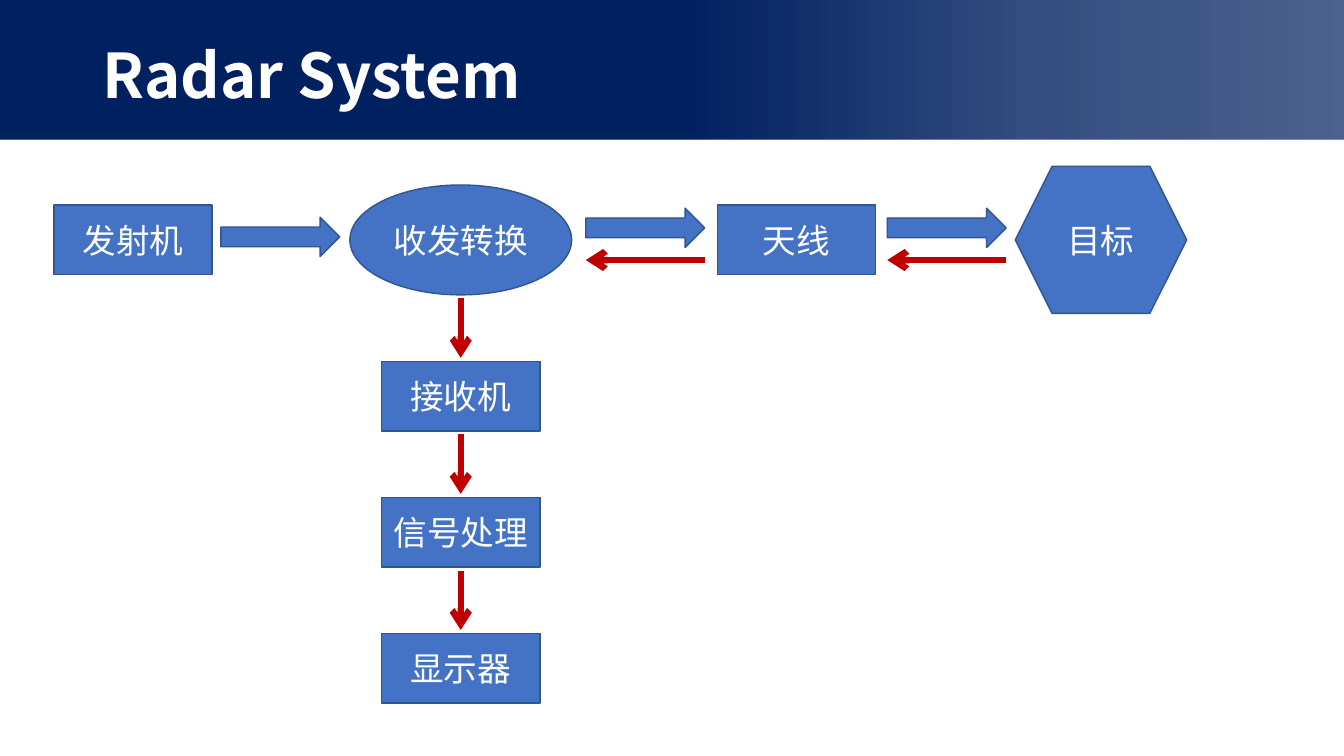
"""Build the radar system block diagram slide."""
from pptx import Presentation
from pptx.dml.color import RGBColor as Rgb
from pptx.enum.shapes import MSO_CONNECTOR as Link, MSO_SHAPE as Form
from pptx.enum.text import MSO_ANCHOR as Anchor, PP_ALIGN as Align
from pptx.oxml import parse_xml as to_xml
from pptx.oxml.ns import nsdecls, qn
from pptx.util import Inches, Pt

theme = {
    "font": "Noto Sans CJK SC", "head": 44, "body": 24, "edge": 1, "beam": 4.5,
    "navy": "002060", "blue": "4472C4", "rim": "325491", "red": "C00000",
    "white": "FFFFFF",
}

deck = Presentation()
deck.slide_width, deck.slide_height = Inches(13.33), Inches(7.5)
slide = deck.slides.add_slide(deck.slide_layouts[6])
col, row = deck.slide_width / 13.33, deck.slide_height / 7.5


def write(para, text, size, bold=False):
    """Add one run in the theme font."""
    run = para.add_run()
    run.text = text
    font = run.font
    font.name, font.size, font.bold = theme["font"], Pt(size), bold
    font.color.rgb = Rgb.from_string(theme["white"])
    east = run._r.get_or_add_rPr().makeelement(qn("a:ea"), {"typeface": theme["font"]})
    font._element.find(qn("a:latin")).addnext(east)


def block(form, mid_x, mid_y, wide, high, text=""):
    """Add a blue shape centred on a grid point."""
    shape = slide.shapes.add_shape(
        form, int((mid_x - wide / 2) * col), int((mid_y - high / 2) * row),
        int(wide * col), int(high * row))
    shape.shadow.inherit = False
    shape.fill.solid()
    shape.fill.fore_color.rgb = Rgb.from_string(theme["blue"])
    shape.line.color.rgb = Rgb.from_string(theme["rim"])
    shape.line.width = Pt(theme["edge"])
    if text:
        frame = shape.text_frame
        frame.word_wrap, frame.vertical_anchor = True, Anchor.MIDDLE
        frame.paragraphs[0].alignment = Align.CENTER
        write(frame.paragraphs[0], text, theme["body"])
    return shape


band = block(Form.RECTANGLE, 13.33 / 2, 0.69, 13.33, 1.38)
band.line.fill.background()
stops = "".join(
    f'<a:gs pos="{pos}000"><a:srgbClr val="{theme["navy"]}">'
    f'<a:alpha val="{alpha}000"/></a:srgbClr></a:gs>'
    for pos, alpha in ((0, 70), (25, 80), (50, 100), (75, 100), (100, 100)))
solid = band._element.spPr.find(qn("a:solidFill"))
solid.getparent().replace(solid, to_xml(
    f'<a:gradFill {nsdecls("a")} rotWithShape="1"><a:gsLst>{stops}</a:gsLst>'
    '<a:lin ang="10800000" scaled="0"/></a:gradFill>'))

title = slide.shapes.add_textbox(
    int(0.92 * col), int(0.4 * row), int(12.41 * col), int(1.45 * row)).text_frame
title.word_wrap, title.vertical_anchor = True, Anchor.TOP
title.paragraphs[0].line_spacing = 0.9
write(title.paragraphs[0], "Radar System", theme["head"], True)

axis, hub, box = 2.38, 4.57, (1.57, 0.69)
block(Form.RECTANGLE, 1.32, axis, *box, "发射机")
block(Form.OVAL, hub, axis, 2.2, 1.09, "收发转换")
block(Form.RECTANGLE, 7.9, axis, *box, "天线")
block(Form.HEXAGON, 10.92, axis, 1.7, 1.46, "目标")

beams = []
for mid, high in ((2.78, 2.35), (6.4, 2.26), (9.39, 2.26)):
    block(Form.RIGHT_ARROW, mid, high, 1.18, 0.39)
    if mid > hub:
        beams.append((mid + 0.59, 2.58, mid - 0.59, 2.58))

for step, text in enumerate(("接收机", "信号处理", "显示器")):
    drop = 1.35 * step
    block(Form.RECTANGLE, hub, 3.93 + drop, *box, text)
    beams.append((hub, 2.96 + drop, hub, 3.55 + drop))

for x1, y1, x2, y2 in beams:
    beam = slide.shapes.add_connector(
        Link.STRAIGHT, int(x1 * col), int(y1 * row), int(x2 * col), int(y2 * row))
    beam.line.color.rgb = Rgb.from_string(theme["red"])
    beam.line.width = Pt(theme["beam"])
    beam.line._get_or_add_ln().append(to_xml(f'<a:tailEnd {nsdecls("a")} type="arrow"/>'))
    beam._element.spPr.append(to_xml(f'<a:effectLst {nsdecls("a")}/>'))

deck.save("out.pptx")
